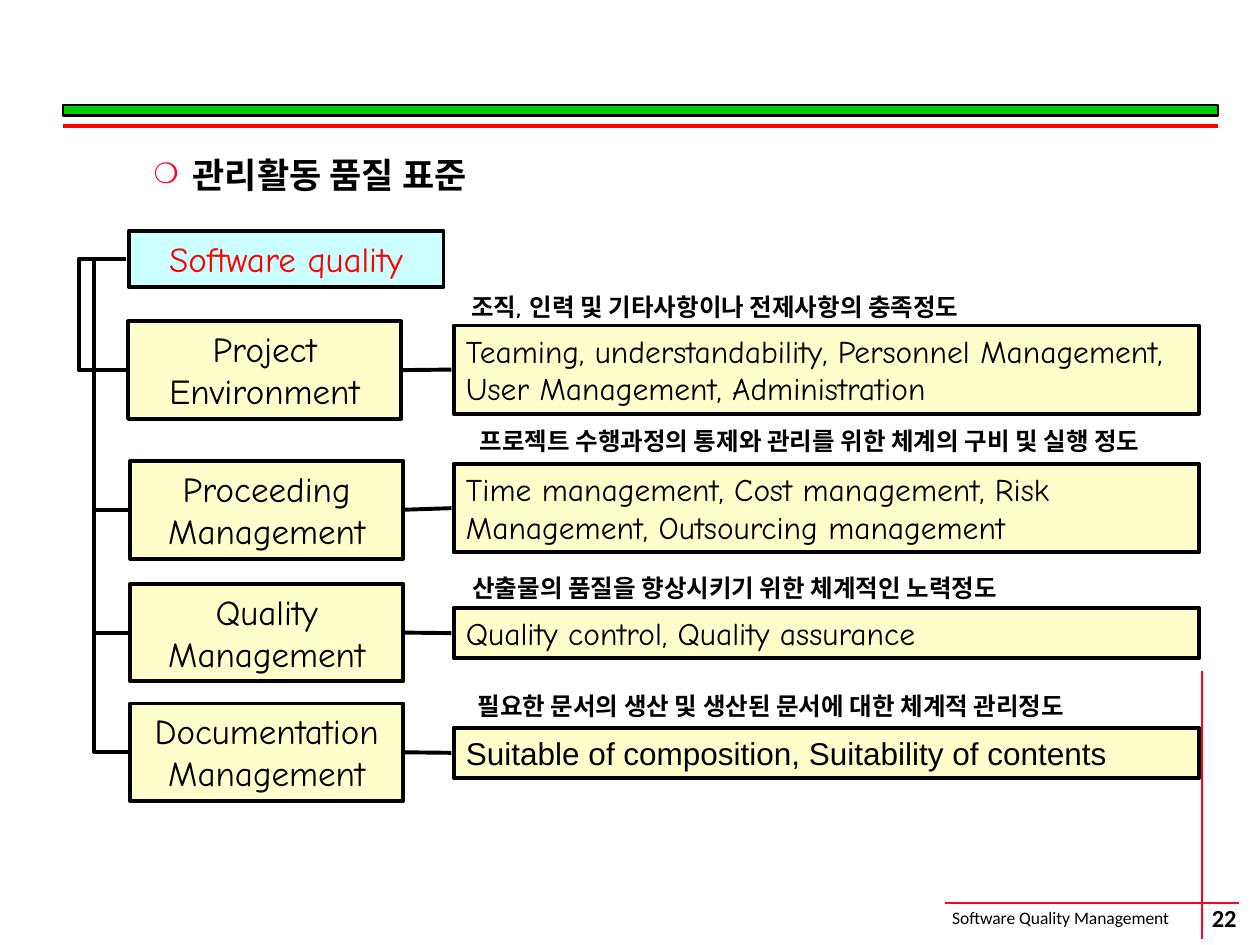
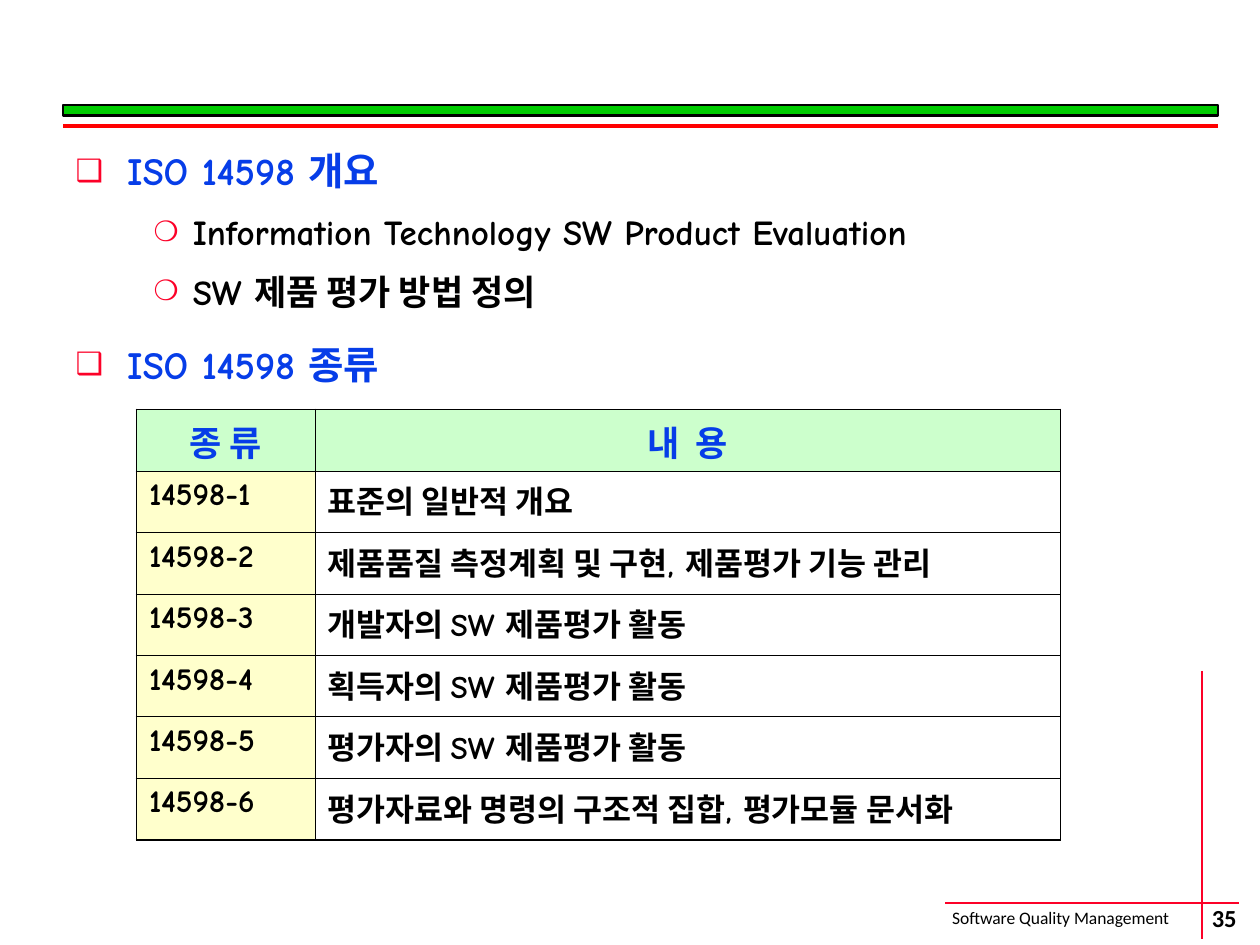
from lxml.etree import SubElement
from pptx import Presentation
from pptx.dml.color import RGBColor
from pptx.enum.shapes import MSO_CONNECTOR, MSO_SHAPE
from pptx.enum.text import MSO_ANCHOR, MSO_AUTO_SIZE, PP_ALIGN
from pptx.oxml.ns import qn
from pptx.util import Inches, Pt

BLACK, RED, CRIMSON, BLUE = "000000", "FF0000", "FC0128", "063DE8"
GREEN, MINT, CREAM, AQUA = "00CC00", "CCFFCC", "FFFFCC", "CCFFFF"
HAND, PLAIN, FOOTER_FONT = "Comic Neue", "Arial", "Calibri"
COLUMNS, ROWS = 120, 90


def colour(value):
    """Turn a hex string into a colour."""
    return RGBColor.from_string(value)


class Deck:
    """Holds the shared style, the grid and the current slide."""

    def __init__(self):
        """Start a 10 by 7.5 inch deck on a grid of 120 columns and 90 rows."""
        self.deck = Presentation()
        self.deck.slide_width, self.deck.slide_height = Inches(10), Inches(7.5)
        self.slide = None

    def x(self, columns):
        """Give a width in columns as a length."""
        return round(self.deck.slide_width * columns / COLUMNS)

    def y(self, rows):
        """Give a height in rows as a length."""
        return round(self.deck.slide_height * rows / ROWS)

    def area(self, left, top, width, height):
        """Give a grid area as lengths."""
        return self.x(left), self.y(top), self.x(width), self.y(height)

    def new_slide(self, number):
        """Add a slide with the header band, footer and page number."""
        self.slide = self.deck.slides.add_slide(self.deck.slide_layouts[1])
        title = self.slide.shapes.title
        title.element.getparent().remove(title.element)
        self.line(90, 86, 118, 86, CRIMSON, 1)
        self.label("Software Quality Management", (89.5, 85.8, 26.3, 3.24), 10, font=FOOTER_FONT)
        self.line(114.5, 63.9, 114.5, 89.4, CRIMSON, 1)
        page = self.label(str(number), (110.6, 85.7, 12, 3.4), 14, True, FOOTER_FONT, PP_ALIGN.CENTER)
        page.vertical_anchor = MSO_ANCHOR.MIDDLE
        page.margin_left = page.margin_right = page.margin_top = page.margin_bottom = 0
        self.box((6, 10, 110, 1), GREEN, 1.5)
        self.line(6, 12, 116, 12, RED, 2.25)

    def run(self, paragraph, text, size, ink=BLACK, bold=False, font=HAND):
        """Add one formatted run to a paragraph."""
        run = paragraph.add_run()
        run.text = text
        run.font.name, run.font.size, run.font.bold = font, Pt(size), bold
        run.font.color.rgb = colour(ink)

    def label(self, text, area, size, bold=False, font=HAND, align=PP_ALIGN.LEFT):
        """Add plain text and return its frame."""
        frame = self.slide.shapes.add_textbox(*self.area(*area)).text_frame
        frame.word_wrap = True
        frame.paragraphs[0].alignment = align
        self.run(frame.paragraphs[0], text, size, bold=bold, font=font)
        return frame

    def box(self, area, fill, weight=2.25, text="", size=20, ink=BLACK, font=HAND, align=PP_ALIGN.CENTER):
        """Add an outlined rectangle, with text if given."""
        shape = self.slide.shapes.add_shape(MSO_SHAPE.RECTANGLE, *self.area(*area))
        shape.shadow.inherit = False
        shape.fill.solid()
        shape.fill.fore_color.rgb = colour(fill)
        shape.line.color.rgb, shape.line.width = colour(BLACK), Pt(weight)
        if text:
            frame = shape.text_frame
            frame.word_wrap, frame.vertical_anchor = True, MSO_ANCHOR.TOP
            frame.paragraphs[0].alignment = align
            self.run(frame.paragraphs[0], text, size, ink, font=font)

    def line(self, x1, y1, x2, y2, ink=BLACK, weight=2.25, kind=MSO_CONNECTOR.STRAIGHT):
        """Add a connector between two grid points."""
        link = self.slide.shapes.add_connector(kind, self.x(x1), self.y(y1), self.x(x2), self.y(y2))
        link.line.color.rgb, link.line.width = colour(ink), Pt(weight)
        SubElement(link.element.spPr, qn("a:effectLst"))
        return link

    def bracket(self, start, end, trunk):
        """Join two left edges through a vertical trunk column."""
        (x1, y1), (x2, y2) = start, end
        link = self.line(x1, y1, x2, y2, kind=MSO_CONNECTOR.ELBOW)
        guides = link.element.spPr.find(qn("a:prstGeom")).get_or_add_avLst()
        bend = round((trunk - x1) / (x2 - x1) * 100000)
        SubElement(guides, qn("a:gd"), name="adj1", fmla=f"val {bend}")

    def outline(self, top, items):
        """Fill the body placeholder with (level, text, space before, line spacing)."""
        body = self.slide.placeholders[1]
        body.left, body.top, body.width, body.height = self.area(6, top, 110, 72.2)
        frame = body.text_frame
        frame.auto_size = MSO_AUTO_SIZE.NONE
        styles = [("❑", 0.41, 0.41, 22, BLUE), ("❍", 0.93, 0.31, 20, BLACK)]
        for index, (level, text, before, spacing) in enumerate(items):
            mark, margin, hang, size, ink = styles[level]
            paragraph = frame.add_paragraph() if index else frame.paragraphs[0]
            paragraph.level = level
            props = paragraph._p.get_or_add_pPr()
            props.set("marL", str(Inches(margin)))
            props.set("indent", str(-Inches(hang)))
            SubElement(SubElement(props, qn("a:buClr")), qn("a:srgbClr"), val=CRIMSON)
            SubElement(props, qn("a:buSzPct"), val="80000")
            SubElement(props, qn("a:buChar"), char=mark)
            paragraph.line_spacing, paragraph.space_before = spacing, Pt(before)
            self.run(paragraph, text, size, ink, True)

    def table(self, area, widths, rows):
        """Add a table with a header row and a tinted first column."""
        grid = self.slide.shapes.add_table(len(rows), len(widths), *self.area(*area)).table
        for column, width in zip(grid.columns, widths):
            column.width = self.x(width)
        for r, row in enumerate(rows):
            for c, text in enumerate(row):
                cell = grid.cell(r, c)
                tint = MINT if r == 0 else CREAM if c == 0 else None
                if tint:
                    cell.fill.solid()
                    cell.fill.fore_color.rgb = colour(tint)
                else:
                    cell.fill.background()
                paragraph = cell.text_frame.paragraphs[0]
                paragraph.alignment = PP_ALIGN.LEFT if r else PP_ALIGN.CENTER
                self.run(paragraph, text, 18 if r else 20, BLACK if r else BLUE, True)
                outer = {"L": c == 0, "R": c == len(widths) - 1, "T": r == 0, "B": r == len(rows) - 1}
                self.borders(cell, outer)

    def borders(self, cell, outer):
        """Draw cell borders, heavier on the outer edges of the table."""
        props = cell._tc.get_or_add_tcPr()
        for place, (side, edge) in enumerate(outer.items()):
            border = SubElement(props, qn(f"a:ln{side}"), w=str(Pt(1.08 if edge else 0.45)))
            SubElement(SubElement(border, qn("a:solidFill")), qn("a:srgbClr"), val=BLACK)
            props.insert(place, border)


def management_standard(deck):
    """Build the tree of management quality standards."""
    deck.new_slide(22)
    deck.outline(14, [(1, "관리활동 품질 표준", 0, 1.0)])
    root_middle = 24.7
    deck.box((12.25, 22, 30, 5.3), AQUA, text="Software quality", ink=RED)
    branches = [
        ("Project Environment", 12.2, 30.6, 7.5, HAND, 31, 8.4,
         "Teaming, understandability, Personnel Management, User Management, Administration",
         "조직, 인력 및 기타사항이나 전제사항의 충족정도", 43.7, 27.2),
        ("Proceeding Management", 12.4, 43.9, 9, HAND, 44.2, 8.4,
         "Time management, Cost management, Risk Management, Outsourcing management",
         "프로젝트 수행과정의 통제와 관리를 위한 체계의 구비 및 실행 정도", 44.5, 40),
        ("Quality Management", 12.4, 55.6, 9, HAND, 57.9, 4.8,
         "Quality control, Quality assurance",
         "산출물의 품질을 향상시키기 위한 체계적인 노력정도", 43.8, 54),
        ("Documentation Management", 12.4, 67, 9, PLAIN, 69.3, 4.8,
         "Suitable of composition, Suitability of contents",
         "필요한 문서의 생산 및 생산된 문서에 대한 체계적 관리정도", 44.3, 65.2),
    ]
    for area, left, top, trunk, font, detail_top, detail_height, detail, meaning, indent, meaning_top in branches:
        middle = top + 4.65
        deck.bracket((12, root_middle), (12.25, middle), trunk)
        deck.box((left, top, 26, 9.3), CREAM, text=area)
        deck.line(left + 26, middle, 43, detail_top + detail_height / 2)
        deck.box((43.2, detail_top, 71, detail_height), CREAM, text=detail, size=18,
                 font=font, align=PP_ALIGN.LEFT)
        deck.label(meaning, (indent, meaning_top, 70, 4.1), 14, True)


def evaluation_standard(deck):
    """Build the overview and the parts of ISO 14598."""
    deck.new_slide(35)
    deck.outline(13, [
        (0, "ISO 14598 개요", 0, 1.1),
        (1, "Information Technology SW Product Evaluation", 7.5, 1.1),
        (1, "SW 제품 평가 방법 정의", 7.5, 1.1),
        (0, "ISO 14598 종류", 16.5, 1.0),
    ])
    contents = [
        "표준의 일반적 개요",
        "제품품질 측정계획 및 구현, 제품평가 기능 관리",
        "개발자의 SW 제품평가 활동",
        "획득자의 SW 제품평가 활동",
        "평가자의 SW 제품평가 활동",
        "평가자료와 명령의 구조적 집합, 평가모듈 문서화",
    ]
    parts = [(f"14598-{part}", content) for part, content in enumerate(contents, 1)]
    deck.table((13, 39, 88, 41), (17, 71), [("종 류", "내  용"), *parts])


def main():
    """Build both slides and save them."""
    deck = Deck()
    management_standard(deck)
    evaluation_standard(deck)
    deck.deck.save("out.pptx")


if __name__ == "__main__":
    main()
